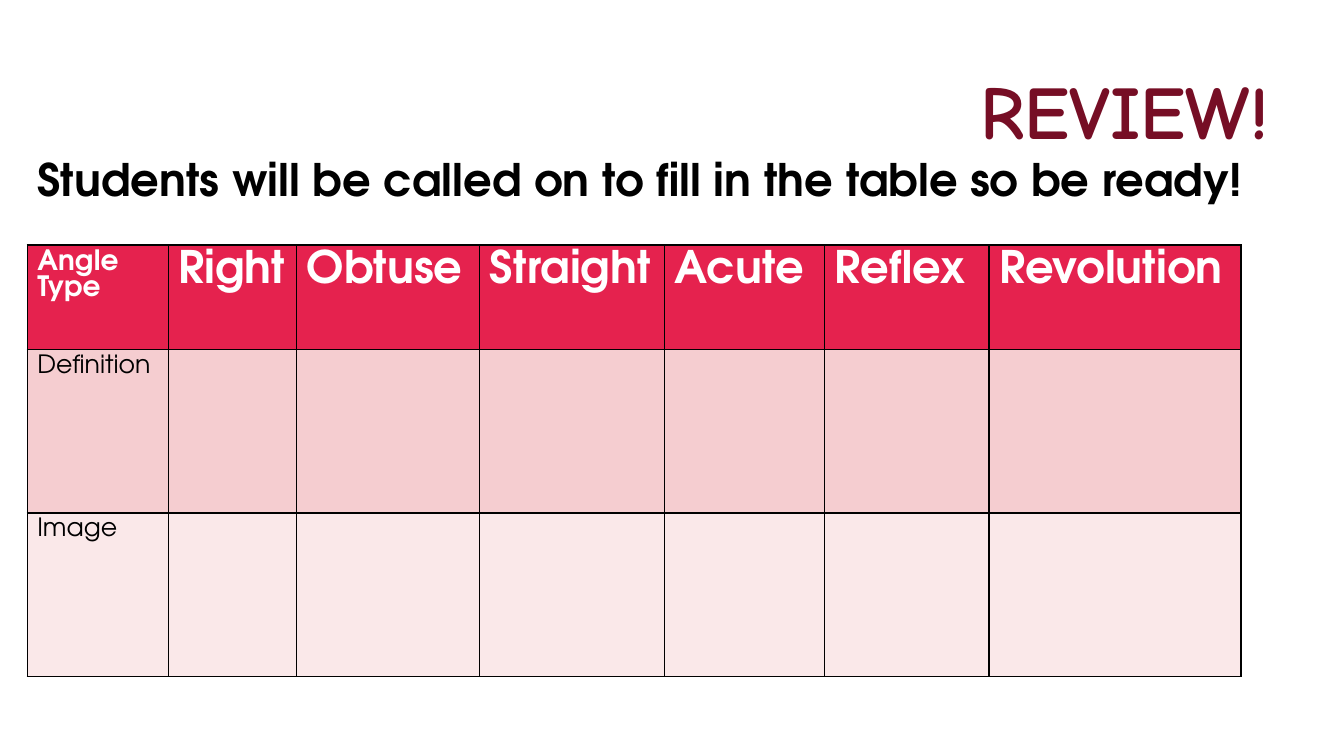
from lxml.etree import SubElement
from pptx import Presentation
from pptx.dml.color import RGBColor
from pptx.enum.text import MSO_ANCHOR, PP_ALIGN
from pptx.oxml.ns import qn
from pptx.util import Inches, Pt

BODY_FONT = "TeX Gyre Adventor"
COLUMN_WIDTHS = [1.4, 1.27, 1.82, 1.83, 1.59, 1.63, 2.5]
ROW_HEIGHTS = [1.04, 1.62, 1.62]
ROW_FILLS = ["E5224E", "F5CDD0", "FAE8E9"]
ANGLE_TABLE = [
    ["Angle Type", "Right", "Obtuse", "Straight", "Acute", "Reflex", "Revolution"],
    ["Definition"] + [""] * 6,
    ["Image"] + [""] * 6,
]


def color(value):
    return RGBColor.from_string(value)


def format_paragraph(paragraph, name, size, value, bold):
    font = paragraph.font
    font.name, font.size, font.bold = name, Pt(size), bold
    font.color.rgb = color(value)


def add_title(slide, left, top, width, height):
    title = slide.shapes.title
    title.left, title.top = Inches(left), Inches(top)
    title.width, title.height = Inches(width), Inches(height)
    title.text_frame.text = "REVIEW!"
    title.text_frame.vertical_anchor = MSO_ANCHOR.MIDDLE
    paragraph = title.text_frame.paragraphs[0]
    paragraph.alignment = PP_ALIGN.RIGHT
    paragraph.line_spacing = 0.9
    format_paragraph(paragraph, "Comic Neue", 54, "760E25", True)


def add_instruction(slide, left, top, width, height):
    box = slide.shapes.add_textbox(Inches(left), Inches(top), Inches(width), Inches(height))
    box.text_frame.word_wrap = True
    paragraph = box.text_frame.paragraphs[0]
    paragraph.text = "Students will be called on to fill in the table so be ready!"
    paragraph.line_spacing = 0.9
    format_paragraph(paragraph, BODY_FONT, 32, "000000", True)


def add_borders(cell, value, width):
    properties = cell._tc.get_or_add_tcPr()
    for position, side in enumerate(["a:lnL", "a:lnR", "a:lnT", "a:lnB"]):
        line = SubElement(properties, qn(side), w=str(Pt(width)))
        fill = SubElement(line, qn("a:solidFill"))
        SubElement(fill, qn("a:srgbClr"), val=value)
        properties.insert(position, line)


def add_angle_table(slide, left, top):
    frame = slide.shapes.add_table(
        len(ROW_HEIGHTS), len(COLUMN_WIDTHS), Inches(left), Inches(top),
        Inches(sum(COLUMN_WIDTHS)), Inches(sum(ROW_HEIGHTS)))
    table = frame.table
    for column, width in zip(table.columns, COLUMN_WIDTHS):
        column.width = Inches(width)
    for row_index, (row, height) in enumerate(zip(table.rows, ROW_HEIGHTS)):
        row.height = Inches(height)
        is_header = row_index == 0
        for column_index, cell in enumerate(row.cells):
            cell.text = ANGLE_TABLE[row_index][column_index]
            cell.fill.solid()
            cell.fill.fore_color.rgb = color(ROW_FILLS[row_index])
            add_borders(cell, "000000", 1)
            header_size = 20 if column_index == 0 else 32
            format_paragraph(
                cell.text_frame.paragraphs[0], BODY_FONT,
                header_size if is_header else 18,
                "FFFFFF" if is_header else "000000", is_header)


def add_review_slide(presentation):
    slide = presentation.slides.add_slide(presentation.slide_layouts[5])
    add_title(slide, 3.28, 0.44, 9.41, 1.41)
    add_instruction(slide, 0.27, 1.52, 12.95, 5.41)
    add_angle_table(slide, 0.27, 2.43)


def main():
    presentation = Presentation()
    presentation.slide_width = Inches(13.33)
    presentation.slide_height = Inches(7.5)
    add_review_slide(presentation)
    presentation.save("out.pptx")


if __name__ == "__main__":
    main()
